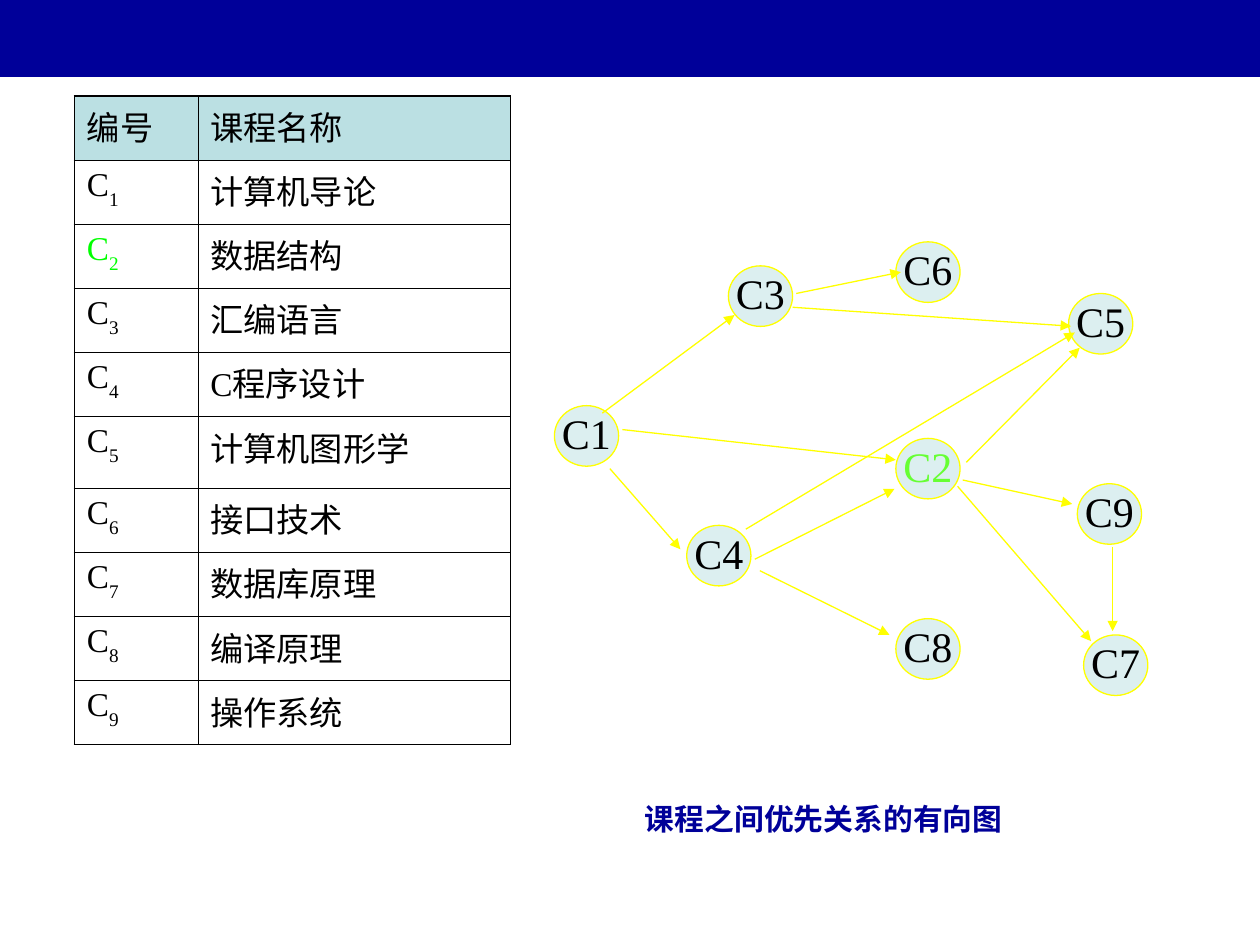
from dataclasses import dataclass

from lxml import etree
from pptx import Presentation
from pptx.dml.color import RGBColor
from pptx.enum import shapes, text
from pptx.oxml import ns
from pptx.util import Pt


@dataclass(frozen=True)
class Theme:
    """Colours, fonts and type sizes of the slide."""
    navy: str = "000099"
    aqua: str = "BBE0E3"
    black: str = "000000"
    yellow: str = "FFFF00"
    lime: str = "00FF00"
    green: str = "66FF33"
    latin: str = "Times New Roman"
    cjk: str = "Noto Sans CJK SC"
    table: float = 19
    node: float = 24
    caption: float = 17
    thin: float = 0.45
    thick: float = 1.08
    edge: float = 0.75


T = Theme()
COURSES = ["计算机导论", "数据结构", "汇编语言", "C程序设计", "计算机图形学",
           "接口技术", "数据库原理", "编译原理", "操作系统"]
COLUMNS = (70.6, 178.6)
ROW, TALL_ROW = 36.6, 41.1
NODE = (36.7, 34.6)
NODES = {
    "C1": (0, 93.6), "C3": (99.4, 13.7), "C2": (195.1, 112.3),
    "C4": (75.6, 162), "C8": (195.1, 215.3), "C6": (195.1, 0),
    "C5": (293.8, 29.5), "C9": (298.8, 138.2), "C7": (302.4, 224.6),
}
EDGES = {
    ("C1", "C2"): (38.9, 107.3, 195.1, 124.6),
    ("C1", "C3"): (27.4, 97.9, 103, 41.8),
    ("C1", "C4"): (31.7, 129.6, 72, 175.7),
    ("C4", "C2"): (114.5, 181.4, 194.4, 141.1),
    ("C4", "C8"): (117.4, 187.9, 191.5, 224.6),
    ("C3", "C6"): (138.2, 29.5, 198, 17.3),
    ("C4", "C5"): (109.4, 164.2, 297.4, 51.8),
    ("C2", "C9"): (233.3, 136.1, 295.9, 149.8),
    ("C2", "C7"): (230.4, 139.7, 306.7, 228.2),
    ("C9", "C7"): (319, 174.2, 319, 222.5),
    ("C3", "C5"): (136.1, 37.4, 295.2, 48.2),
    ("C2", "C5"): (235.4, 126, 300.2, 60.5),
}


def rgb(value):
    """Return a colour from its hex value."""
    return RGBColor.from_string(value)


def child(parent, tag, **attrs):
    """Append a DrawingML element."""
    return etree.SubElement(parent, ns.qn(f"a:{tag}"), attrs)


def set_format(obj, **values):
    """Set each named attribute of an object."""
    for name, value in values.items():
        setattr(obj, name, value)


def add_run(p, words, font, size, color, bold=False, subscript=False):
    """Add a run of text in one font."""
    r = p.add_run()
    r.text = words
    set_format(r.font, name=font, size=Pt(size), bold=bold)
    r.font.color.rgb = rgb(color)
    rPr = r.font._element
    child(rPr, "ea", typeface=font)
    if subscript:
        rPr.set("baseline", "-30000")


def add_band(s, box):
    """Draw the band across the top of the slide."""
    sp = s.shapes.add_shape(shapes.MSO_SHAPE.RECTANGLE, *map(Pt, box))
    sp.shadow.inherit = False
    sp.fill.solid()
    sp.fill.fore_color.rgb = rgb(T.navy)
    sp.line.fill.background()


def add_borders(cell, outer):
    """Draw the four cell borders, thick on the outer sides."""
    tcPr = cell._tc.get_or_add_tcPr()
    for side in "LRTB":
        width = T.thick if side in outer else T.thin
        ln = child(tcPr, f"ln{side}", w=str(int(Pt(width))))
        child(child(ln, "solidFill"), "srgbClr", val=T.black)


def course_rows():
    """Return the runs of every table cell, row by row."""
    rows = [[[("编号", T.cjk, T.table, T.black)],
             [("课程名称", T.cjk, T.table, T.black)]]]
    for number, name in enumerate(COURSES, 1):
        color = T.lime if number == 2 else T.black
        code = [("C", T.latin, T.table, color),
                (str(number), T.latin, T.table, color, False, True)]
        title = [(name.lstrip("C"), T.cjk, T.table, T.black)]
        if name.startswith("C"):
            title.insert(0, ("C", T.latin, T.table, T.black))
        rows.append([code, title])
    return rows


def add_courses(s, box):
    """Build the table of course numbers and names."""
    rows = course_rows()
    last = len(rows) - 1
    table = s.shapes.add_table(len(rows), 2, *map(Pt, box)).table
    set_format(table, first_row=False, horz_banding=False)
    for column, width in zip(table.columns, COLUMNS):
        column.width = Pt(width)
    for i, row in enumerate(rows):
        table.rows[i].height = Pt(TALL_ROW if i == 5 else ROW)
        for j, runs in enumerate(row):
            cell = table.cell(i, j)
            outer = "LR"[j] + ("T" if i == 0 else "") + ("B" if i == last else "")
            add_borders(cell, outer)
            if i == 0:
                cell.fill.solid()
                cell.fill.fore_color.rgb = rgb(T.aqua)
            else:
                cell.fill.background()
            p = cell.text_frame.paragraphs[0]
            p.space_before = Pt(4.8)
            for run in runs:
                add_run(p, *run)


def add_node(s, name, box):
    """Draw one course as a labelled circle."""
    sp = s.shapes.add_shape(shapes.MSO_SHAPE.OVAL, *map(Pt, box))
    sp.shadow.inherit = False
    sp.fill.solid()
    sp.fill.fore_color.rgb = rgb(T.aqua)
    child(sp._element.spPr.find(ns.qn("a:solidFill"))[0], "alpha", val="50000")
    sp.line.color.rgb = rgb(T.yellow)
    sp.line.width = Pt(T.edge)
    tf = sp.text_frame
    set_format(tf, word_wrap=False, vertical_anchor=text.MSO_ANCHOR.MIDDLE)
    p = tf.paragraphs[0]
    set_format(p, alignment=text.PP_ALIGN.CENTER, line_spacing=0.9, space_before=Pt(6))
    add_run(p, name, T.latin, T.node, T.green if name == "C2" else T.black)


def add_arrow(s, ends):
    """Draw one arrow between two points."""
    c = s.shapes.add_connector(shapes.MSO_CONNECTOR.STRAIGHT, *map(Pt, ends))
    c.line.color.rgb = rgb(T.yellow)
    c.line.width = Pt(T.edge)
    child(c.line._get_or_add_ln(), "tailEnd", type="triangle")
    child(c._element.spPr, "effectLst")


def add_graph(s, box):
    """Draw the directed graph of course precedence."""
    x, y = box[:2]
    for name, (dx, dy) in NODES.items():
        add_node(s, name, (x + dx, y + dy, *NODE))
    for x1, y1, x2, y2 in EDGES.values():
        add_arrow(s, (x + x1, y + y1, x + x2, y + y2))


def add_caption(s, box):
    """Write the caption below the graph."""
    tf = s.shapes.add_textbox(*map(Pt, box)).text_frame
    set_format(tf, word_wrap=True, vertical_anchor=text.MSO_ANCHOR.MIDDLE,
               margin_top=Pt(18.6))
    add_run(tf.paragraphs[0], "课程之间优先关系的有向图", T.cjk, T.caption, T.navy, bold=True)


def main():
    """Build the slide and save it."""
    prs = Presentation()
    set_format(prs, slide_width=Pt(720), slide_height=Pt(540))
    s = prs.slides.add_slide(prs.slide_layouts[6])
    add_band(s, (0, 0, 720, 43.9))
    add_caption(s, (361.4, 429.8, 358.6, 61.2))
    add_graph(s, (316.8, 138.2, 339.1, 259.2))
    add_courses(s, (42.5, 54.9, sum(COLUMNS), 9 * ROW + TALL_ROW))
    prs.save("out.pptx")


if __name__ == "__main__":
    main()
